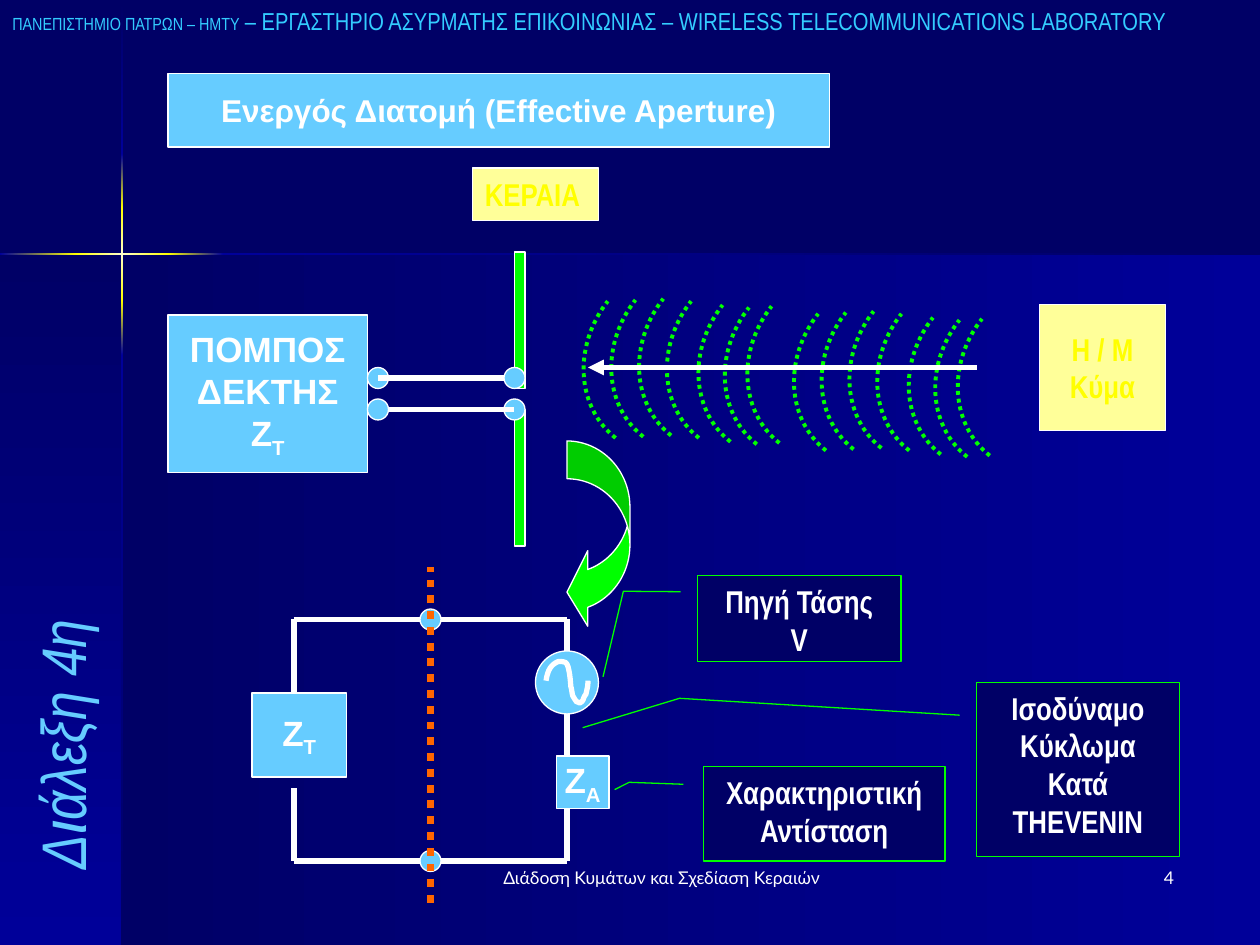
from lxml.etree import SubElement
from pptx import Presentation
from pptx.dml.color import RGBColor
from pptx.enum.dml import MSO_LINE
from pptx.enum.shapes import MSO_CONNECTOR, MSO_SHAPE
from pptx.enum.text import MSO_ANCHOR, MSO_AUTO_SIZE, PP_ALIGN
from pptx.oxml.ns import qn
from pptx.util import Pt

NAVY, BLUE, SKY, WHITE = "000066", "000099", "66CCFF", "FFFFFF"
YELLOW, CREAM, PALE, GREEN, ORANGE = "FFFF00", "FFFFCC", "FFFF99", "00FF00", "FF6600"
ARIAL = {"name": "Arial", "size": Pt(20), "bold": True}
NARROW = {"name": "Arial Narrow", "size": Pt(18), "bold": True}
FOOTER = {"name": "Lato", "size": Pt(10)}
RIGHT, DOWN, LEFT = 0, 270, 180  # gradient directions, counter-clockwise


def color(value):
    return RGBColor.from_string(value)


def bezier(points, steps=8):
    """Sample a chain of cubic curves given as start, then three points each."""
    samples = [points[0]]
    for first in range(0, len(points) - 1, 3):
        controls = points[first:first + 4]
        for step in range(1, steps + 1):
            t = step / steps
            weights = ((1 - t) ** 3, 3 * t * (1 - t) ** 2, 3 * t * t * (1 - t), t ** 3)
            samples.append(tuple(sum(w * c[axis] for w, c in zip(weights, controls))
                                 for axis in (0, 1)))
    return samples


class Canvas:
    def __init__(self, presentation):
        self.slide = presentation.slides.add_slide(presentation.slide_layouts[5])
        self.shapes = self.slide.shapes
        self.slide.background.fill.solid()
        self.slide.background.fill.fore_color.rgb = color(NAVY)

    def paint(self, shape, fill=None, line=WHITE, width=0.75, dash=None):
        if fill:
            shape.fill.solid()
            shape.fill.fore_color.rgb = color(fill)
        else:
            shape.fill.background()
        shape.line.color.rgb = color(line)
        shape.line.width = Pt(width)
        if dash:
            shape.line.dash_style = dash
        shape.shadow.inherit = False

    def set_text(self, shape, paragraphs, style, ink=WHITE, align=PP_ALIGN.CENTER,
                 anchor=MSO_ANCHOR.MIDDLE, wrap=False, before=0):
        """Each paragraph is a string or a list of (text, font overrides)."""
        frame = shape.text_frame
        layout = {"word_wrap": wrap, "auto_size": MSO_AUTO_SIZE.NONE, "vertical_anchor": anchor,
                  "margin_left": Pt(7.2), "margin_right": Pt(7.2),
                  "margin_top": Pt(3.6), "margin_bottom": Pt(3.6)}
        for name, value in layout.items():
            setattr(frame, name, value)
        for index, content in enumerate(paragraphs):
            paragraph = frame.paragraphs[0] if index == 0 else frame.add_paragraph()
            paragraph.alignment = align
            paragraph.space_before = Pt(before)
            for text, changes in [(content, {})] if isinstance(content, str) else content:
                run = paragraph.add_run()
                run.text = text
                run.font.color.rgb = color(ink)
                for name, value in {**style, **changes}.items():
                    if name == "baseline":
                        run._r.get_or_add_rPr().set("baseline", value)
                    else:
                        setattr(run.font, name, value)

    def title(self, box, text):
        shape = self.shapes.title
        for name, value in zip(("left", "top", "width", "height"), box):
            setattr(shape, name, Pt(value))
        self.paint(shape, SKY)
        self.set_text(shape, [text], {**ARIAL, "size": Pt(18)})

    def shape(self, kind, box, fill=None, adjustments=(), rotation=0, **outline):
        shape = self.shapes.add_shape(kind, *map(Pt, box))
        for index, value in enumerate(adjustments):
            shape.adjustments[index] = value
        shape.rotation = rotation
        self.paint(shape, fill, **outline)
        return shape

    def box(self, box, paragraphs, style, fill=SKY, **text):
        self.set_text(self.shape(MSO_SHAPE.RECTANGLE, box, fill), paragraphs, style, **text)

    def callout(self, box, adjustments, paragraphs):
        shape = self.shape(MSO_SHAPE.LINE_CALLOUT_2, box, NAVY, adjustments, line=GREEN)
        self.set_text(shape, paragraphs, NARROW, anchor=MSO_ANCHOR.TOP, wrap=True)

    def text(self, box, paragraphs, style, rotation=0, anchor=MSO_ANCHOR.TOP, **text):
        shape = self.shapes.add_textbox(*map(Pt, box))
        shape.rotation = rotation
        self.set_text(shape, paragraphs, style, anchor=anchor, wrap=True, **text)

    def gradient(self, box, colors, angle):
        shape = self.shape(MSO_SHAPE.RECTANGLE, box)
        shape.line.fill.background()
        shape.fill.gradient()
        shape.fill.gradient_angle = angle
        stops = shape._element.spPr.find(".//" + qn("a:gsLst"))
        for stop in list(stops):
            stops.remove(stop)
        for index, value in enumerate(colors):
            position = str(100000 * index // (len(colors) - 1))
            stop = SubElement(stops, qn("a:gs"), pos=position)
            SubElement(stop, qn("a:srgbClr"), val=value)

    def line(self, start, end, ink=WHITE, width=3, dash=None, arrow=False):
        line = self.shapes.add_connector(MSO_CONNECTOR.STRAIGHT, *map(Pt, (*start, *end)))
        line.line.color.rgb = color(ink)
        line.line.width = Pt(width)
        if dash:
            line.line.dash_style = dash
        if arrow:
            SubElement(line._element.spPr.get_or_add_ln(), qn("a:headEnd"), type="triangle")
        SubElement(line._element.spPr, qn("a:effectLst"))

    def curve(self, points, width):
        samples = [(Pt(x), Pt(y)) for x, y in bezier(points)]
        builder = self.shapes.build_freeform(*samples[0])
        builder.add_line_segments(samples[1:], close=False)
        self.paint(builder.convert_to_shape(), width=width)


def impedance(letter):
    return [("Ζ", {}), (letter, {"baseline": "-25000"})]


def draw_backdrop(canvas):
    canvas.gradient((69.84, 145.5, 650.16, 394.5), (BLUE, NAVY), LEFT)
    canvas.gradient((0, 145.5, 69.84, 394.5), (NAVY, BLUE), DOWN)
    glow = (YELLOW, CREAM, YELLOW)
    vertical = [(0.7, 88, (NAVY, BLUE)), (88, 119, (BLUE, YELLOW)), (119, 171.5, glow),
                (171.5, 203, (YELLOW, BLUE)), (203, 540, (BLUE, NAVY))]
    horizontal = [(0, 43.5, (BLUE, YELLOW)), (43.5, 96, glow),
                  (96, 127.5, (YELLOW, BLUE)), (127.5, 720, (BLUE, NAVY))]
    for start, end, colors in vertical:
        canvas.gradient((69.3, start, 1.2, end - start), colors, DOWN)
    for start, end, colors in horizontal:
        canvas.gradient((start, 144.8, end - start, 1.2), colors, RIGHT)


def draw_antenna(canvas):
    canvas.box((96, 180, 114, 90), ["ΠΟΜΠΟΣ", "ΔΕΚΤΗΣ", impedance("Τ")], ARIAL)
    for top in (144, 234):
        canvas.shape(MSO_SHAPE.RECTANGLE, (294, top, 6, 78), GREEN)
    for left in (210, 288):
        for top in (210, 228):
            canvas.shape(MSO_SHAPE.OVAL, (left, top, 12, 12), SKY)
    canvas.line((216, 216), (288, 216))
    canvas.line((222, 234), (294, 234))
    canvas.box((270, 96, 72, 30), ["ΚΕΡΑΙΑ"], NARROW, PALE, ink=YELLOW, align=PP_ALIGN.LEFT)


def draw_wave(canvas):
    fronts = [(336.2, 145.4), (352, 144.7), (367.9, 144), (383.8, 145.4),
              (401.8, 147.6), (416.9, 149), (429.8, 148.3)]
    for shift_x, shift_y in ((0, 0), (120.2, 7.2)):
        for left, top in fronts:
            canvas.shape(MSO_SHAPE.ARC, (left + shift_x, top + shift_y, 103.7, 117.4),
                         rotation=218.2, line=GREEN, width=2.25, dash=MSO_LINE.ROUND_DOT)
    canvas.line((336, 210), (558, 210), arrow=True)
    canvas.box((594, 174, 72, 72), ["Η / Μ", "Κύμα"], NARROW, PALE, ink=YELLOW)


def draw_circuit(canvas):
    canvas.box((144, 396, 54, 48), [impedance("Τ")], ARIAL)
    canvas.line((168, 396), (168, 354))
    canvas.line((168, 492), (168, 450))
    for y in (354, 492):
        canvas.line((168, y), (240, y))
        canvas.shape(MSO_SHAPE.OVAL, (240, y - 6, 12, 12), SKY)
        canvas.line((252, y), (324, y))
    canvas.line((324, 354), (324, 492))
    canvas.box((318, 432, 30, 30), [impedance("Α")], ARIAL)
    canvas.shape(MSO_SHAPE.OVAL, (306, 372, 36, 36), SKY)
    canvas.curve([(312, 389), (313, 383), (314.6, 380), (319, 378), (320.4, 378), (322, 378),
                  (323.3, 378.7), (325.4, 380.2), (326, 390), (326.2, 392.4), (326.9, 394.6),
                  (326.9, 397.4), (327.6, 398.2), (330.5, 403), (329, 400), (331.2, 401.8),
                  (334, 400.3), (332.6, 399.6), (334.8, 396.7), (335.5, 393.8),
                  (336, 391.7), (336, 389)], 3)
    canvas.callout((398.6, 328.9, 116.2, 49), (0.188, -0.083, 0.183, -0.365, 1.18, -0.465),
                   ["Πηγή Τάσης", "V"])
    canvas.callout((402, 438, 138, 54), (0.188, -0.083, 0.167, -0.308, 0.245, -0.368),
                   ["Χαρακτηριστική", "Αντίσταση"])
    canvas.line((246, 516), (246, 324), ORANGE, 4.5, MSO_LINE.ROUND_DOT)
    canvas.shape(MSO_SHAPE.CURVED_LEFT_ARROW, (324, 252, 36, 108), GREEN, (0.6, 1.2, 0.33))
    canvas.callout((558, 390, 116, 99.4), (0.188, -0.083, 0.091, -1.463, 0.26, -1.94),
                   ["Ισοδύναμο", "Κύκλωμα", "Κατά", "THEVENIN"])


def draw_labels(canvas):
    label = {"name": "Arial Narrow"}
    canvas.text((0, 0, 804, 24), [[
        ("ΠΑΝΕΠΙΣΤΗΜΙΟ ΠΑΤΡΩΝ – ΗΜΤΥ", {"size": Pt(10)}),
        (" – ΕΡΓΑΣΤΗΡΙΟ ΑΣΥΡΜΑΤΗΣ ΕΠΙΚΟΙΝΩΝΙΑΣ – WIRELESS TELECOMMUNICATIONS LABORATORY",
         {"size": Pt(14)})]], label, ink="33CCFF", align=PP_ALIGN.LEFT, before=3.5)
    canvas.text((-102, 342, 276, 48), ["Διάλεξη 4η"], {**label, "size": Pt(36), "italic": True},
                rotation=270, anchor=MSO_ANCHOR.BOTTOM, ink=SKY, align=PP_ALIGN.LEFT)
    canvas.text((264, 492, 228, 36), ["Διάδοση Κυμάτων και Σχεδίαση Κεραιών"], FOOTER)
    canvas.text((528, 492, 150, 36), ["4"], FOOTER, align=PP_ALIGN.RIGHT)


def main():
    presentation = Presentation()
    presentation.slide_width, presentation.slide_height = Pt(720), Pt(540)
    canvas = Canvas(presentation)
    canvas.title((96, 42, 378, 42), "Ενεργός Διατομή (Effective Aperture)")
    for draw in (draw_backdrop, draw_antenna, draw_wave, draw_circuit, draw_labels):
        draw(canvas)
    presentation.save("out.pptx")


if __name__ == "__main__":
    main()
